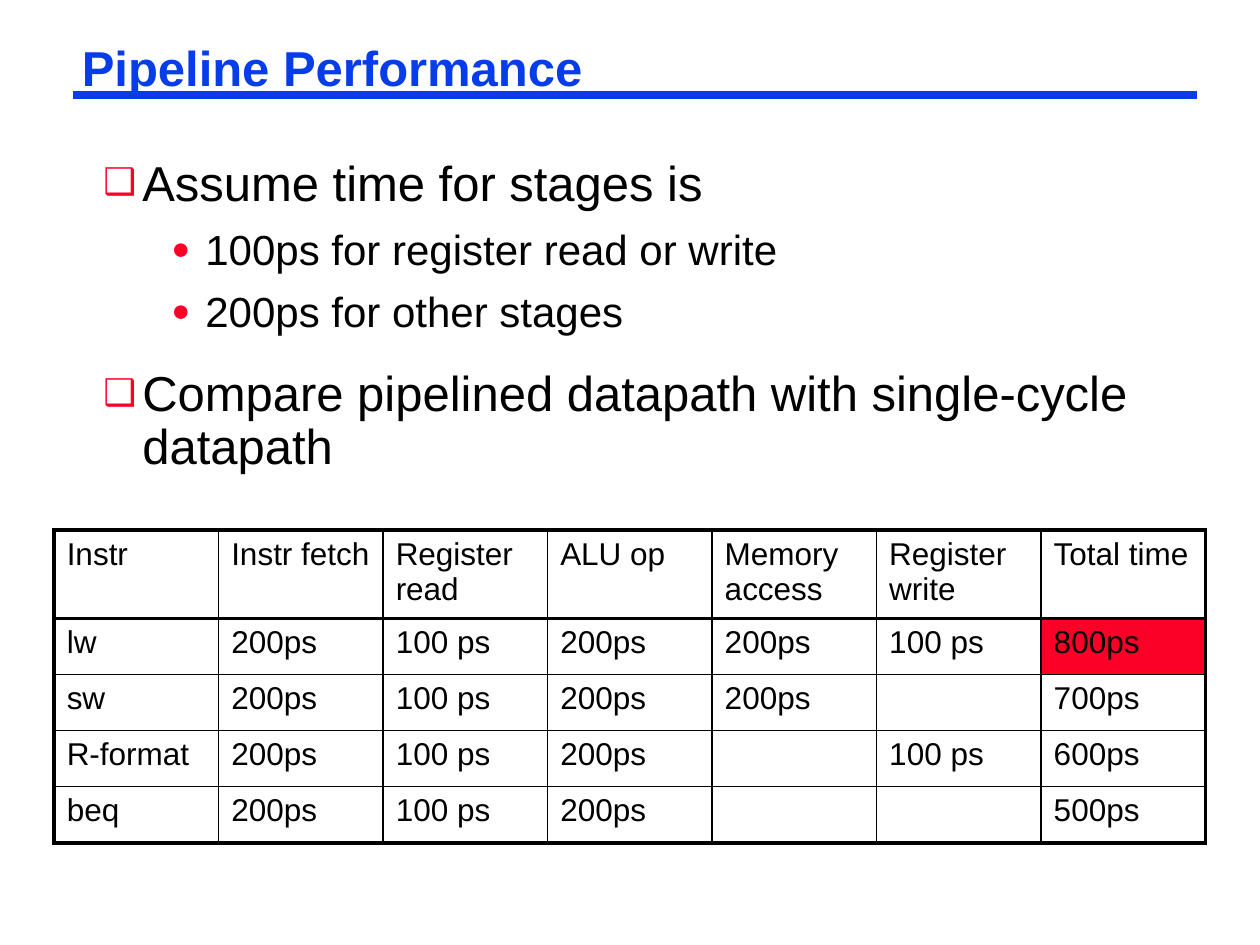
from lxml.etree import SubElement
from pptx import Presentation
from pptx.dml.color import RGBColor
from pptx.enum.shapes import MSO_CONNECTOR
from pptx.oxml.ns import qn
from pptx.util import Emu, Inches, Pt

COLORS = {"blue": "063DE8", "red": "FC0128", "black": "000000"}
W, H = Inches(10), Inches(7.5)
LEVELS = [
    {"size": 28, "spacing": 0.9, "before": 19, "left": 0.31, "hang": 0.31, "bullet": "❑"},
    {"size": 24, "spacing": 0.85, "before": 11, "left": 0.81, "hang": 0.27, "bullet": "●"},
]
POINTS = [
    (0, "Assume time for stages is"),
    (1, "100ps for register read or write"),
    (1, "200ps for other stages"),
    (0, "Compare pipelined datapath with single-cycle datapath"),
]
TIMES = [
    ["Instr", "Instr fetch", "Register read", "ALU op", "Memory access", "Register write", "Total time"],
    ["lw", "200ps", "100 ps", "200ps", "200ps", "100 ps", "800ps"],
    ["sw", "200ps", "100 ps", "200ps", "200ps", "", "700ps"],
    ["R-format", "200ps", "100 ps", "200ps", "", "100 ps", "600ps"],
    ["beq", "200ps", "100 ps", "200ps", "", "", "500ps"],
]


def rgb(name):
    """Return the named colour."""
    return RGBColor.from_string(COLORS[name])


def share(x, y, w, h):
    """Turn shares of the slide's size into a box."""
    return Emu(int(x * W)), Emu(int(y * H)), Emu(int(w * W)), Emu(int(h * H))


def style(p, size, color="black", bold=False):
    """Format the runs of a paragraph."""
    for r in p.runs:
        r.font.name, r.font.size, r.font.bold = "Arial", Pt(size), bold
        r.font.color.rgb = rgb(color)


def add_text(slide, box):
    """Add a wrapping text box with narrow insets and return its frame."""
    tf = slide.shapes.add_textbox(*box).text_frame
    tf.word_wrap = True
    tf.margin_left = tf.margin_right = Inches(0.07)
    tf.margin_top = tf.margin_bottom = Inches(0.03)
    return tf


def add_bullet(p, level):
    """Give a paragraph the indent and red bullet of its level."""
    pPr = p._p.get_or_add_pPr()
    pPr.set("marL", str(Inches(level["left"])))
    pPr.set("indent", str(-Inches(level["hang"])))
    clr = SubElement(pPr, qn("a:buClr"))
    SubElement(clr, qn("a:srgbClr"), val=COLORS["red"])
    SubElement(pPr, qn("a:buSzPct"), val="75000")
    SubElement(pPr, qn("a:buFont"), typeface="Arial")
    SubElement(pPr, qn("a:buChar"), char=level["bullet"])


def add_title(slide, box, text):
    """Place the title with a thick rule along the foot of its box."""
    x, y, w, h = box
    rule_y = Emu(int(y + 0.92 * h))
    rule = slide.shapes.add_connector(MSO_CONNECTOR.STRAIGHT, x, rule_y, x + w, rule_y)
    rule.line.color.rgb, rule.line.width = rgb("blue"), Pt(4.5)
    SubElement(rule._element.spPr, qn("a:effectLst"))
    p = add_text(slide, box).paragraphs[0]
    p.text, p.line_spacing = text, 0.87
    style(p, 28, "blue", True)


def add_points(slide, box, points):
    """Place the bulleted points."""
    tf = add_text(slide, box)
    for i, (depth, text) in enumerate(points):
        level = LEVELS[depth]
        p = tf.add_paragraph() if i else tf.paragraphs[0]
        p.text, p.level = text, depth
        add_bullet(p, level)
        p.line_spacing = level["spacing"]
        p.space_before = Pt(level["before"] if i else 0)
        style(p, level["size"])


def add_borders(cell, widths):
    """Draw black borders of the given widths on a cell."""
    tcPr = cell._tc.get_or_add_tcPr()
    for side in "LRTB":
        ln = SubElement(tcPr, qn(f"a:ln{side}"), w=str(Pt(widths[side])))
        fill = SubElement(ln, qn("a:solidFill"))
        SubElement(fill, qn("a:srgbClr"), val=COLORS["black"])


def add_times(slide, box, rows):
    """Place the table of stage times with a heavy frame."""
    x, y, w, h = box
    n_rows, n_cols = len(rows), len(rows[0])
    table = slide.shapes.add_table(n_rows, n_cols, x, y, w, h).table
    table.first_row = table.horz_banding = False
    for col in table.columns:
        col.width = Emu(w // n_cols)
    for i, row in enumerate(table.rows):
        row.height = Emu(int(h * (0.18 if i else 0.28)))
        for j, cell in enumerate(row.cells):
            add_borders(cell, {
                "L": 2.25 if j == 0 else 1,
                "R": 2.25 if j == n_cols - 1 else 1,
                "T": {0: 2.25, 1: 1.5}.get(i, 1),
                "B": {0: 1.5, n_rows - 1: 2.25}.get(i, 1),
            })
            if rows[i][j] == "800ps":
                cell.fill.solid()
                cell.fill.fore_color.rgb = rgb("red")
            else:
                cell.fill.background()
            cell.text = rows[i][j]
            style(cell.text_frame.paragraphs[0], 18)


def main():
    """Build and save the slide."""
    prs = Presentation()
    prs.slide_width, prs.slide_height = W, H
    slide = prs.slides.add_slide(prs.slide_layouts[6])
    add_title(slide, share(0.058, 0.044, 0.892, 0.061), "Pipeline Performance")
    add_points(slide, share(0.075, 0.164, 0.905, 0.37), POINTS)
    add_times(slide, share(0.043, 0.561, 0.914, 0.33), TIMES)
    prs.save("out.pptx")


if __name__ == "__main__":
    main()
